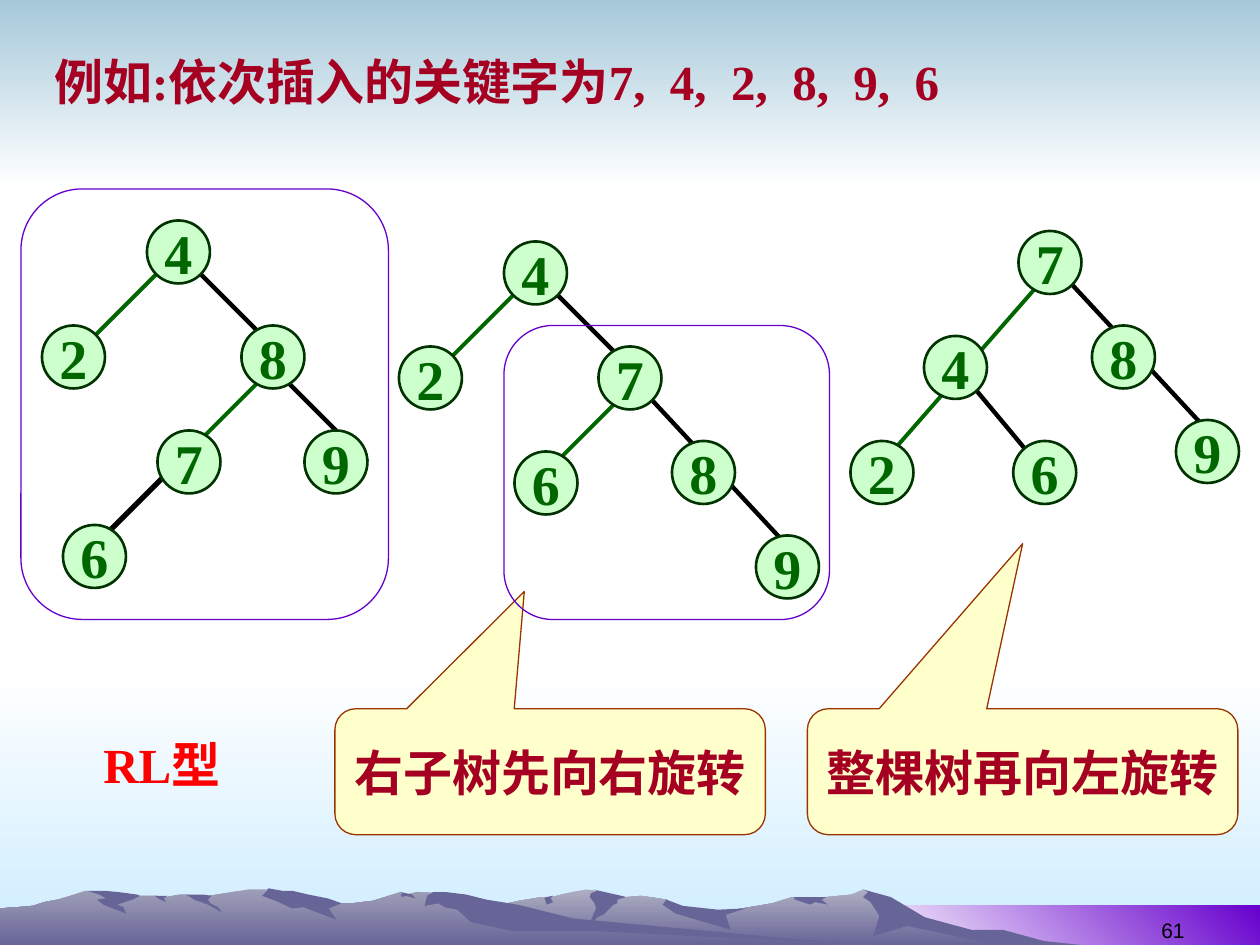
from lxml.etree import SubElement
from pptx import Presentation
from pptx.dml.color import RGBColor
from pptx.enum.shapes import MSO_CONNECTOR as Link, MSO_SHAPE as Shape
from pptx.enum.text import MSO_ANCHOR as Anchor, PP_ALIGN as Align
from pptx.oxml.ns import qn
from pptx.util import Cm, Pt

LEFT, RIGHT, NEW = ("006600", 2.25), ("000000", 2.5), ("000000", 3)
NODE = 6
SHADE = "676597"
DOWN = 270

# Landscape points are hundredths of an inch from the corner of the mountain band.
FAR_RANGE = [
    (802, 46), (778, 40), (764, 38), (723, 25), (702, 12), (685, 6), (676, 10), (656, 12),
    (629, 12), (613, 17), (566, 25), (536, 21), (529, 14), (509, 11), (486, 13), (474, 7),
    (465, 6), (450, 9), (438, 12), (430, 12), (412, 15), (394, 19), (355, 25), (327, 31),
    (277, 45), (258, 50), (821, 50)]
NEAR_RANGE = [
    (690, 50), (667, 50), (432, 32), (354, 9), (331, 8), (323, 10), (318, 8), (296, 15),
    (279, 17), (271, 17), (260, 15), (236, 17), (223, 8), (215, 6), (197, 6), (178, 9),
    (160, 12), (148, 10), (143, 10), (132, 12), (123, 11), (111, 11), (94, 12), (68, 7),
    (56, 11), (46, 14), (35, 16), (26, 19), (14, 20), (0, 21), (0, 50)]
FAR_SHADES = [
    [(796, 38), (771, 38), (734, 28), (707, 12), (685, 6), (689, 8), (685, 12), (691, 16),
     (698, 27), (693, 43), (720, 35), (792, 50), (858, 50), (829, 47)],
    [(471, 6), (474, 7), (469, 9), (468, 12), (472, 17), (473, 21), (465, 40), (474, 28),
     (479, 26), (487, 18), (490, 17), (490, 14), (497, 12), (493, 11)],
    [(529, 14), (526, 18), (536, 25), (580, 38), (576, 26), (592, 21), (570, 22), (542, 19)],
    [(650, 12), (630, 12), (631, 14), (643, 18), (647, 16), (657, 18), (652, 14), (656, 12)],
    [(433, 15), (432, 13), (434, 12), (439, 11), (437, 13), (439, 16), (434, 18)]]
NEAR_SHADES = [
    [(212, 7), (208, 11), (219, 15), (232, 21), (241, 20), (267, 30), (261, 21), (271, 17),
     (266, 15), (260, 13), (245, 10), (232, 7), (224, 7), (213, 5)],
    [(370, 10), (354, 8), (344, 8), (339, 11), (337, 19), (348, 17), (353, 20), (363, 22),
     (374, 32), (407, 39), (472, 39), (690, 50), (683, 50), (455, 29), (427, 22), (411, 18),
     (386, 14)],
    [(318, 10), (320, 9), (318, 8), (327, 10), (330, 13), (326, 12), (322, 11), (319, 12)],
    [(154, 10), (161, 10), (168, 11), (165, 14), (167, 17), (173, 20), (176, 24), (165, 18),
     (154, 14), (148, 10)],
    [(133, 11), (130, 13), (132, 16), (127, 14), (123, 11)],
    [(109, 10), (111, 11), (105, 14), (93, 18), (98, 20), (100, 25), (82, 18), (77, 14),
     (84, 13), (79, 10), (69, 7), (83, 7), (94, 8)]]


def grid(steps):
    """Return a length in steps of a twelfth of an inch."""
    return Cm(steps * 2.54 / 12)


def color(value):
    """Return a colour from a hex string."""
    return RGBColor.from_string(value)


def paint(shape, fill=None, line=None, angle=DOWN):
    """Set a plain, gradient or empty fill and an optional outline."""
    shape.shadow.inherit = False
    if isinstance(fill, tuple):
        shape.fill.gradient()
        shape.fill.gradient_angle = angle
        for position, (stop, value) in enumerate(zip(shape.fill.gradient_stops, fill)):
            stop.position = position
            stop.color.rgb = color(value)
    elif fill:
        shape.fill.solid()
        shape.fill.fore_color.rgb = color(fill)
    else:
        shape.fill.background()
    if line:
        shape.line.color.rgb = color(line[0])
        shape.line.width = Pt(line[1])
    else:
        shape.line.fill.background()


def write(shape, text, size, ink, align=Align.CENTER, anchor=Anchor.MIDDLE, wrap=False,
          font="Times New Roman", bold=True):
    """Write one run of text into a shape."""
    frame = shape.text_frame
    frame.word_wrap = wrap
    frame.vertical_anchor = anchor
    para = frame.paragraphs[0]
    para.alignment = align
    span = para.add_run()
    span.text = text
    span.font.name, span.font.size, span.font.bold = font, Pt(size), bold
    span.font.color.rgb = color(ink)


def add_box(page, kind, box, fill=None, line=None, angle=DOWN):
    """Add a preset shape on the grid."""
    shape = page.shapes.add_shape(kind, *map(grid, box))
    paint(shape, fill, line, angle)
    return shape


def add_label(page, box, *content, **style):
    """Add a text box on the grid."""
    write(page.shapes.add_textbox(*map(grid, box)), *content, **style)


def add_ridge(page, left, top, points, fill):
    """Add one closed outline of the mountains."""
    builder = page.shapes.build_freeform(*points[0], scale=Cm(0.0254))
    builder.add_line_segments(points[1:], close=True)
    paint(builder.convert_to_shape(grid(left), grid(top)), fill)


def add_backdrop(page, left, top, width, height):
    """Add the sky, the purple strip and the mountains."""
    bottom = top + height
    for box, fill, angle in [
            ((left, bottom - 26, width, 26), ("FFFFFF", "CCECFF"), DOWN),
            ((left, top, width, 18), ("A6C9DA", "FFFFFF"), DOWN),
            ((left + 82, bottom - 3.75, width - 82, 3.75), ("FFFFFF", "6600CC"), 45)]:
        add_box(page, Shape.RECTANGLE, box, fill, angle=angle)
    for ridge, fill, shades in [(FAR_RANGE, ("AEAEC2", SHADE), FAR_SHADES),
                                (NEAR_RANGE, ("9F9EB8", SHADE), NEAR_SHADES)]:
        add_ridge(page, left, bottom - 6, ridge, fill)
        for points in shades:
            add_ridge(page, left, bottom - 6, points, SHADE)


def add_tree(page, left, top, nodes, edges):
    """Add the edges of a tree and its nodes over them."""
    for x1, y1, x2, y2, (ink, weight) in edges:
        edge = page.shapes.add_connector(
            Link.STRAIGHT, grid(left + x1), grid(top + y1), grid(left + x2), grid(top + y2))
        edge.line.color.rgb = color(ink)
        edge.line.width = Pt(weight)
        SubElement(edge.element.spPr, qn("a:effectLst"))
    for key, x, y in nodes:
        node = add_box(page, Shape.OVAL, (left + x, top + y, NODE, NODE),
                       "CCFFCC", ("003300", 1.5))
        write(node, key, 32, "006600")


def add_callout(page, left, top, text, tip):
    """Add a speech bubble whose tip is given as shares of its size."""
    bubble = add_box(page, Shape.ROUNDED_RECTANGULAR_CALLOUT, (left, top, 41, 12),
                     "FFFFCC", ("993300", 0.75))
    bubble.adjustments[0], bubble.adjustments[1] = tip
    write(bubble, text, 28, "A50021")


def main():
    """Build the slide on tree rotation and save it."""
    deck = Presentation()
    deck.slide_width, deck.slide_height = Cm(25.4), Cm(19.05)
    page = deck.slides.add_slide(deck.slide_layouts[6])
    add_backdrop(page, 0, 0, 120, 90)
    add_label(page, (86, 84.4, 28, 6), "61", 12, "000000", align=Align.RIGHT,
              anchor=Anchor.BOTTOM, wrap=True, font="Arial", bold=False)
    add_label(page, (4, 4.3, 87.8, 6.8), "例如:依次插入的关键字为7,  4,  2,  8,  9,  6", 28,
              "A50021", align=Align.LEFT, anchor=Anchor.TOP, wrap=True)
    add_label(page, (7.4, 69.4, 16, 6.8), "RL型", 28, "FF0000", anchor=Anchor.TOP, wrap=True)
    add_callout(page, 31.9, 67.5, "右子树先向右旋转", (-0.06, -1.43))
    add_callout(page, 76.9, 67.5, "整棵树再向左旋转", (0, -1.81))

    upper_edges = [(11, 5, 5, 11, LEFT), (15, 5, 23, 13, RIGHT), (21, 15, 15, 21, LEFT)]
    add_tree(page, 4, 21,
             [("4", 10, 0), ("2", 0, 10), ("8", 19, 10), ("7", 11, 20), ("9", 25, 20),
              ("6", 2, 29)],
             upper_edges + [(23, 15, 31, 23, RIGHT), (12, 24, 6, 30, NEW)])
    add_tree(page, 38, 23,
             [("4", 10, 0), ("2", 0, 10), ("7", 19, 10), ("6", 11, 20), ("8", 26, 19),
              ("9", 34, 28)],
             upper_edges + [(24, 15, 37, 29, RIGHT)])
    add_tree(page, 81, 22,
             [("7", 16, 0), ("4", 7, 10), ("8", 23, 9), ("2", 0, 20), ("6", 15.5, 20),
              ("9", 31, 18)],
             [(18, 5, 4, 21, LEFT), (11, 14, 18.5, 23, RIGHT), (21, 5, 34, 19, RIGHT)])
    for frame in [(2, 18, 35, 41), (48, 31, 31, 28)]:
        add_box(page, Shape.ROUNDED_RECTANGLE, frame, line=("6600CC", 0.75))
    deck.save("out.pptx")


if __name__ == "__main__":
    main()
